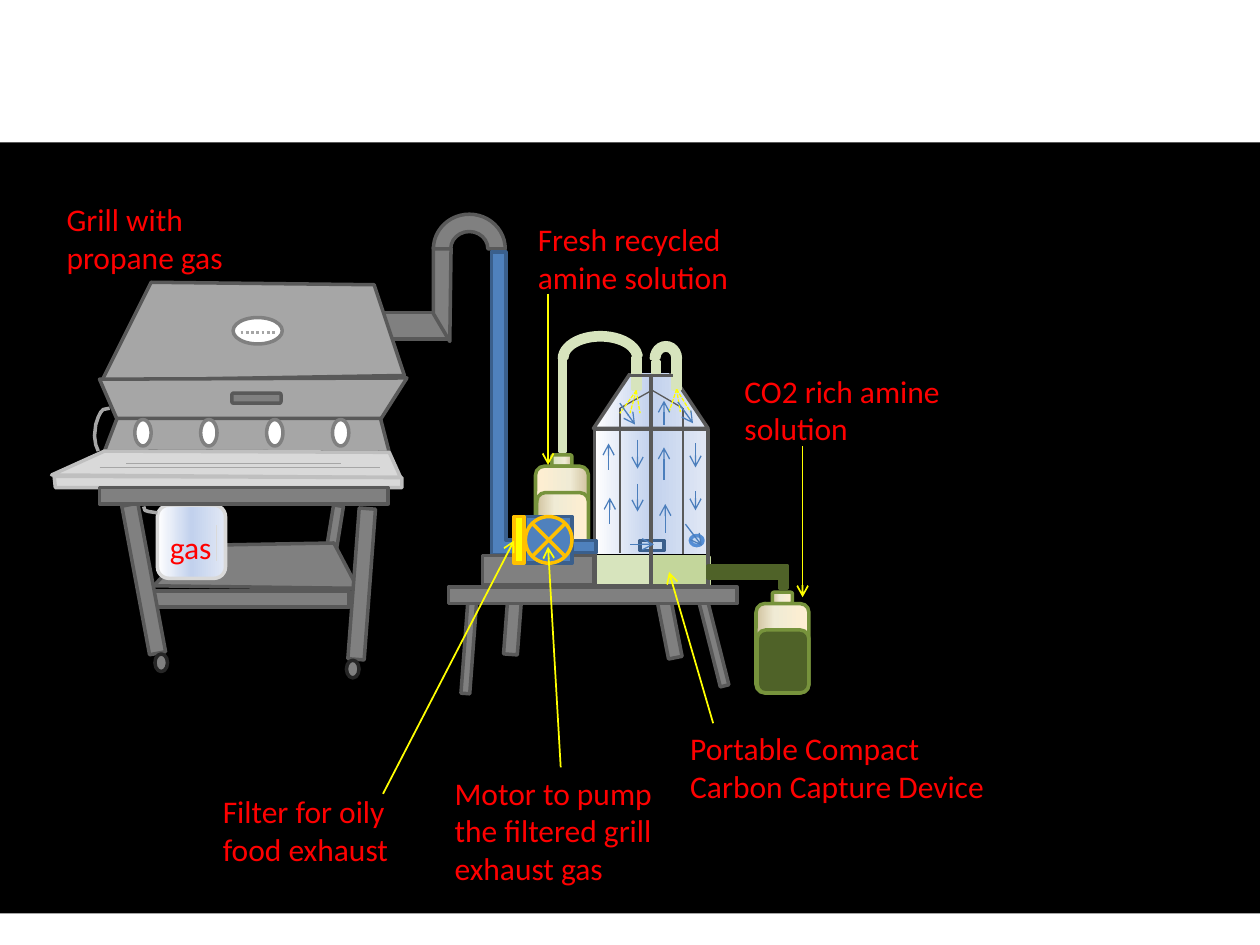
from dataclasses import dataclass
from lxml import etree
from pptx import Presentation
from pptx import util as u
from pptx.dml.color import RGBColor
from pptx.enum import dml, shapes, text
from pptx.oxml import ns

KIND = shapes.MSO_SHAPE


@dataclass(frozen=True)
class Theme:
    font: str = "Calibri"
    label_size: int = 18
    outline: float = 2
    thin: float = 0.75
    pointer: float = 1
    frame: float = 2.25
    black: str = "000000"
    white: str = "FFFFFF"
    red: str = "FF0000"
    yellow: str = "FFFF00"
    orange: str = "FFC000"
    dark: str = "595959"
    wheel: str = "262626"
    gray: str = "808080"
    lid: str = "A6A6A6"
    tray: str = "D9D9D9"
    tray_edge: str = "BFBFBF"
    blue: str = "4F81BD"
    blue_edge: str = "3A5F8C"
    flow: str = "4B7EBC"
    inlet: str = "C6D9F1"
    inlet_edge: str = "558ED5"
    pale_green: str = "D7E4BD"
    mid_green: str = "C3D69B"
    bottle_edge: str = "77933C"
    deep_green: str = "4F6228"
    glass: tuple = ((0, "FFFFFF"), (50, "C2D1ED"), (100, "E1E8F5"))
    cream: tuple = ((0, "FFEFD1"), (65, "F0EBD5"), (100, "D1C39F"))
    cream_reversed: tuple = ((0, "D1C39F"), (35, "F0EBD5"), (100, "FFEFD1"))
    cap: tuple = ((0, "D7E4BD"), (65, "F0EBD5"), (100, "D1C39F"))


THEME = Theme()


def write_text(shape, words, size=THEME.label_size, color=THEME.red, wrap=True):
    frame = shape.text_frame
    frame.word_wrap = wrap
    frame.auto_size = text.MSO_AUTO_SIZE.SHAPE_TO_FIT_TEXT
    run = frame.paragraphs[0].add_run()
    run.text = words
    run.font.name = THEME.font
    run.font.size = u.Pt(size)
    run.font.color.rgb = RGBColor.from_string(color)


class Diagram:
    def __init__(self, slide):
        self.slide = slide

    def paint(self, shape, fill, edge):
        shape.shadow.inherit = False
        if fill is None:
            shape.fill.background()
        elif isinstance(fill, str):
            shape.fill.solid()
            shape.fill.fore_color.rgb = RGBColor.from_string(fill)
        else:
            shape.fill.gradient()
            shape.fill.gradient_angle = 0
            stops = shape._element.spPr.find(".//" + ns.qn("a:gsLst"))
            for stop in list(stops):
                stops.remove(stop)
            for place, color in fill:
                stop = etree.SubElement(stops, ns.qn("a:gs"), pos=str(place * 1000))
                etree.SubElement(stop, ns.qn("a:srgbClr"), val=color)
        if edge is None:
            shape.line.fill.background()
        else:
            shape.line.color.rgb = RGBColor.from_string(edge)
            shape.line.width = u.Pt(THEME.outline)

    def shape(self, kind, box, fill=THEME.gray, edge=THEME.dark, rotation=0, adjust=()):
        shape = self.slide.shapes.add_shape(kind, *map(u.Inches, box))
        shape.rotation = rotation
        for index, value in enumerate(adjust):
            shape.adjustments[index] = value
        self.paint(shape, fill, edge)

    def outline(self, points, fill=THEME.gray, edge=THEME.dark):
        points = [(u.Inches(x), u.Inches(y)) for x, y in points]
        builder = self.slide.shapes.build_freeform(*points[0])
        builder.add_line_segments(points[1:], close=fill is not None)
        self.paint(builder.convert_to_shape(), fill, edge)

    def line(self, ends, color=THEME.dark, width=THEME.thin, dash=None, arrow=False):
        line = self.slide.shapes.add_connector(
            shapes.MSO_CONNECTOR.STRAIGHT, *map(u.Inches, ends))
        line.line.color.rgb = RGBColor.from_string(color)
        line.line.width = u.Pt(width)
        if dash is not None:
            line.line.dash_style = dash
        properties = line._element.spPr
        if arrow:
            etree.SubElement(properties.find(ns.qn("a:ln")), ns.qn("a:tailEnd"), type="arrow")
        etree.SubElement(properties, ns.qn("a:effectLst"))

    def label(self, words, box, wrap=True):
        write_text(self.slide.shapes.add_textbox(*map(u.Inches, box)), words, wrap=wrap)


def draw_grill(d):
    d.shape(KIND.RECTANGLE, (3.04, 2.48, 0.51, 0.21))
    d.outline([(1.2, 2.24), (0.81, 3.02), (3.21, 2.98), (2.97, 2.26)], THEME.lid)
    d.outline([(0.79, 3.01), (0.93, 3.33), (3.02, 3.33), (3.23, 3)], THEME.lid)
    d.outline([(0.93, 3.32), (0.83, 3.58), (3.09, 3.59), (3.02, 3.32)], THEME.lid)
    for knob in range(4):
        d.shape(KIND.OVAL, (1.07 + knob * 0.523, 3.33, 0.13, 0.21), THEME.white, THEME.gray)
    d.shape(KIND.OVAL, (1.85, 2.52, 0.39, 0.21), THEME.white, THEME.gray)
    d.line((1.91, 2.64, 2.18, 2.64), THEME.lid, 1.5, dml.MSO_LINE.ROUND_DOT)
    d.shape(KIND.ROUNDED_RECTANGLE, (1.84, 3.12, 0.39, 0.08))
    d.outline([(0.83, 3.58), (0.41, 3.77), (3.18, 3.79), (3.09, 3.59)],
              THEME.tray, THEME.tray_edge)
    d.outline([(0.43, 3.78), (0.44, 3.87), (3.19, 3.87), (3.19, 3.79), (3.09, 3.79)],
              THEME.tray, THEME.tray_edge)
    d.shape(KIND.RECTANGLE, (1.2, 4.69, 1.57, 0.13))
    d.shape(KIND.RECTANGLE, (1.22, 4.27, 0.58, 0.08), rotation=79.5)
    d.shape(KIND.RECTANGLE, (2.35, 4.26, 0.58, 0.08), rotation=99.2)
    d.outline([(1.22, 4.65), (1.52, 4.33), (2.65, 4.31), (2.84, 4.67)])
    d.shape(KIND.RECTANGLE, (2.27, 4.57, 1.2, 0.13), rotation=94.3)
    d.shape(KIND.RECTANGLE, (0.54, 4.53, 1.2, 0.13), rotation=79.4)
    for left, top in ((1.23, 5.19), (2.75, 5.24)):
        d.shape(KIND.OVAL, (left, top, 0.1, 0.14), edge=THEME.wheel)
    d.shape(KIND.ROUNDED_RECTANGLE, (1.25, 4.01, 0.54, 0.58), THEME.glass, THEME.tray)
    d.shape(KIND.RECTANGLE, (0.79, 3.87, 2.29, 0.13))
    d.line((1.72, 4.45, 1.72, 4.17), THEME.tray)
    d.outline([(1.25, 4.07), (1.18, 4.06), (1.15, 4.05), (1.14, 4.02)], None, THEME.lid)
    d.outline([(0.78, 3.58), (0.76, 3.53), (0.75, 3.46), (0.76, 3.37), (0.78, 3.31),
               (0.8, 3.27), (0.82, 3.25), (0.87, 3.24)], None, THEME.lid)
    d.line((0.79, 3.71, 3.02, 3.71), THEME.lid)
    d.line((1, 3.68, 2.71, 3.68), THEME.lid)
    d.outline([(3.57, 2.71), (3.44, 2.49), (3.44, 1.96), (3.58, 1.97)])
    d.shape(KIND.BLOCK_ARC, (3.44, 1.7, 0.57, 0.55))


def draw_tower(d):
    d.shape(KIND.CORNER, (3.9, 2, 0.23, 2.4), THEME.blue, THEME.blue_edge)
    d.shape(KIND.RECTANGLE, (4.72, 3.41, 0.9, 1.23), THEME.glass)
    d.shape(KIND.ISOSCELES_TRIANGLE, (4.71, 2.72, 0.91, 0.68), THEME.glass)
    d.shape(KIND.RECTANGLE, (4.71, 2.49, 0.81, 0.46), THEME.black, THEME.black)
    d.shape(KIND.RECTANGLE, (4.54, 4.29, 0.19, 0.1), THEME.blue, THEME.blue_edge)
    d.line((4.71, 4.4, 5.62, 4.4), THEME.black)
    for ends in ((5.42, 3.24, 5.42, 4.4), (5.42, 3.24, 5.18, 3.1),
                 (4.92, 4.39, 4.92, 3.24), (4.92, 3.24, 5.17, 3.1)):
        d.line(ends)
    d.shape(KIND.RECTANGLE, (4.73, 4.42, 0.44, 0.22), THEME.pale_green, THEME.pale_green)
    d.shape(KIND.RECTANGLE, (5.17, 4.42, 0.46, 0.22), THEME.mid_green, THEME.mid_green)
    for ends in ((4.71, 4.65, 5.62, 4.65), (5.62, 4.65, 5.62, 4.39), (4.72, 4.65, 4.72, 4.4)):
        d.line(ends, width=THEME.frame)
    for nozzle, top, drops in ((5.05, 3.1, (4.92, 5, 5.08)), (5.37, 3.09, (5.31, 5.4, 5.48))):
        d.shape(KIND.RECTANGLE, (nozzle - 0.03, 2.84, 0.06, 0.25),
                THEME.pale_green, THEME.pale_green)
        for drop in drops:
            d.line((nozzle, top, drop, top + 0.18), THEME.yellow, dash=dml.MSO_LINE.SQUARE_DOT)
    d.shape(KIND.BLOCK_ARC, (5.17, 2.72, 0.23, 0.25), THEME.pale_green, THEME.pale_green)
    d.shape(KIND.RECTANGLE, (5.18, 2.87, 0.05, 0.09), THEME.pale_green, THEME.pale_green)
    d.line((5, 2.98, 5.34, 2.98), width=THEME.frame)
    d.shape(KIND.FLOWCHART_CONNECTOR, (5.48, 4.25, 0.1, 0.08), THEME.inlet, THEME.inlet_edge)
    d.shape(KIND.FLOWCHART_PROCESS, (5.08, 4.29, 0.19, 0.08), THEME.inlet, THEME.blue_edge)
    d.line((5.17, 2.97, 5.17, 4.65), width=THEME.frame)
    for x, start, end in ((4.84, 4.16, 3.95), (4.83, 3.73, 3.52), (5.06, 3.49, 3.72),
                          (5.06, 3.84, 4.06), (5.27, 3.81, 3.55), (5.28, 4.23, 4),
                          (5.27, 3.37, 3.18), (5.52, 3.52, 3.71), (5.52, 3.9, 4.05)):
        d.line((x, start, x, end), THEME.flow, arrow=True)
    for ends in ((5.38, 3.19, 5.5, 3.36), (4.92, 3.2, 5.04, 3.37),
                 (5, 4.32, 5.19, 4.32), (5.44, 4.16, 5.57, 4.33)):
        d.line(ends, THEME.flow, arrow=True)
    d.shape(KIND.BLOCK_ARC, (4.44, 2.64, 0.65, 0.41), THEME.pale_green, THEME.pale_green,
            adjust=(108, 213.41, 0.14))
    d.shape(KIND.RECTANGLE, (4.44, 2.85, 0.05, 0.73), THEME.pale_green, THEME.pale_green)


def draw_bottle(d, left, top, cap, body, liquid):
    for box, fill in (((left + 0.13, top, 0.16, 0.09), cap),
                      ((left, top + 0.09, 0.42, 0.71), body),
                      ((left + 0.01, top + 0.3, 0.41, 0.5), liquid)):
        d.shape(KIND.ROUNDED_RECTANGLE, box, fill, THEME.bottle_edge)


def draw_stand(d):
    d.shape(KIND.RECTANGLE, (3.83, 4.41, 0.88, 0.23))
    motor = (4.17, 4.1, 0.37, 0.37)
    d.shape(KIND.RECTANGLE, motor, THEME.blue, THEME.blue_edge)
    d.shape(KIND.FLOWCHART_SUMMING_JUNCTION, motor, THEME.blue, THEME.orange)
    for box in ((5.62, 4.49, 0.58, 0.1), (6.19, 4.49, 0.06, 0.18)):
        d.shape(KIND.FLOWCHART_PROCESS, box, THEME.deep_green, THEME.deep_green)
    for box, rotation in (((3.36, 5.11, 0.72, 0.07), 94.3), ((3.81, 4.88, 0.52, 0.11), 94.3),
                          ((5.05, 4.91, 0.52, 0.11), 78.9), ((5.29, 5.05, 0.74, 0.07), 75.8)):
        d.shape(KIND.RECTANGLE, box, rotation=rotation)
    d.shape(KIND.RECTANGLE, (3.56, 4.66, 2.29, 0.13))
    d.shape(KIND.FLOWCHART_PROCESS, (4.08, 4.1, 0.08, 0.37), THEME.yellow, THEME.orange)


presentation = Presentation()
presentation.slide_width, presentation.slide_height = u.Inches(10), u.Inches(7.5)
diagram = Diagram(presentation.slides.add_slide(presentation.slide_layouts[6]))
diagram.shape(KIND.RECTANGLE, (0, 1.13, 10, 6.12), THEME.black, None)
draw_bottle(diagram, 4.25, 3.61, THEME.cap, THEME.cream, THEME.cream_reversed)
draw_grill(diagram)
draw_tower(diagram)
draw_bottle(diagram, 6, 4.7, THEME.cream_reversed, THEME.cream_reversed, THEME.deep_green)
draw_stand(diagram)
for words, box in (("Grill with propane gas", (0.43, 1.54, 1.6, 0.71)),
                   ("Filter for oily food exhaust", (1.67, 6.24, 1.57, 0.71)),
                   ("Motor to pump the filtered grill exhaust gas", (3.51, 6.09, 1.87, 1.01)),
                   ("Fresh recycled amine solution", (4.17, 1.7, 1.83, 0.71)),
                   ("Portable Compact Carbon Capture Device", (5.38, 5.74, 2.64, 0.71)),
                   ("CO2 rich amine solution", (5.81, 2.9, 1.79, 0.71))):
    diagram.label(words, box)
diagram.label("gas", (1.25, 4.14, 0.54, 0.4), wrap=False)
for ends in ((4.35, 2.33, 4.35, 3.69), (5.66, 5.74, 5.31, 4.54), (3.04, 6.3, 4.08, 4.29),
             (4.45, 6.09, 4.35, 4.34), (6.37, 3.54, 6.37, 4.74)):
    diagram.line(ends, THEME.yellow, THEME.pointer, arrow=True)
presentation.save("out.pptx")
